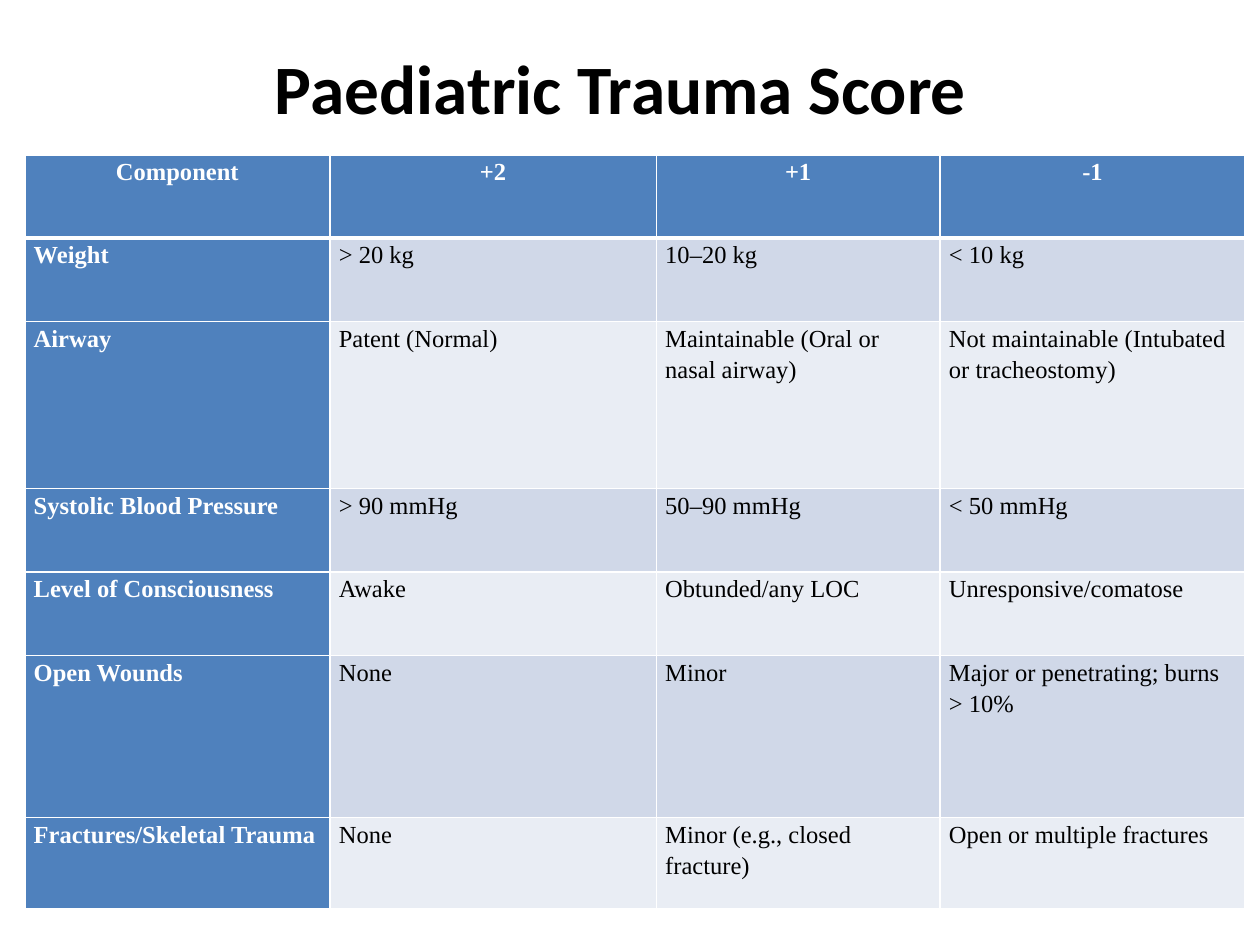
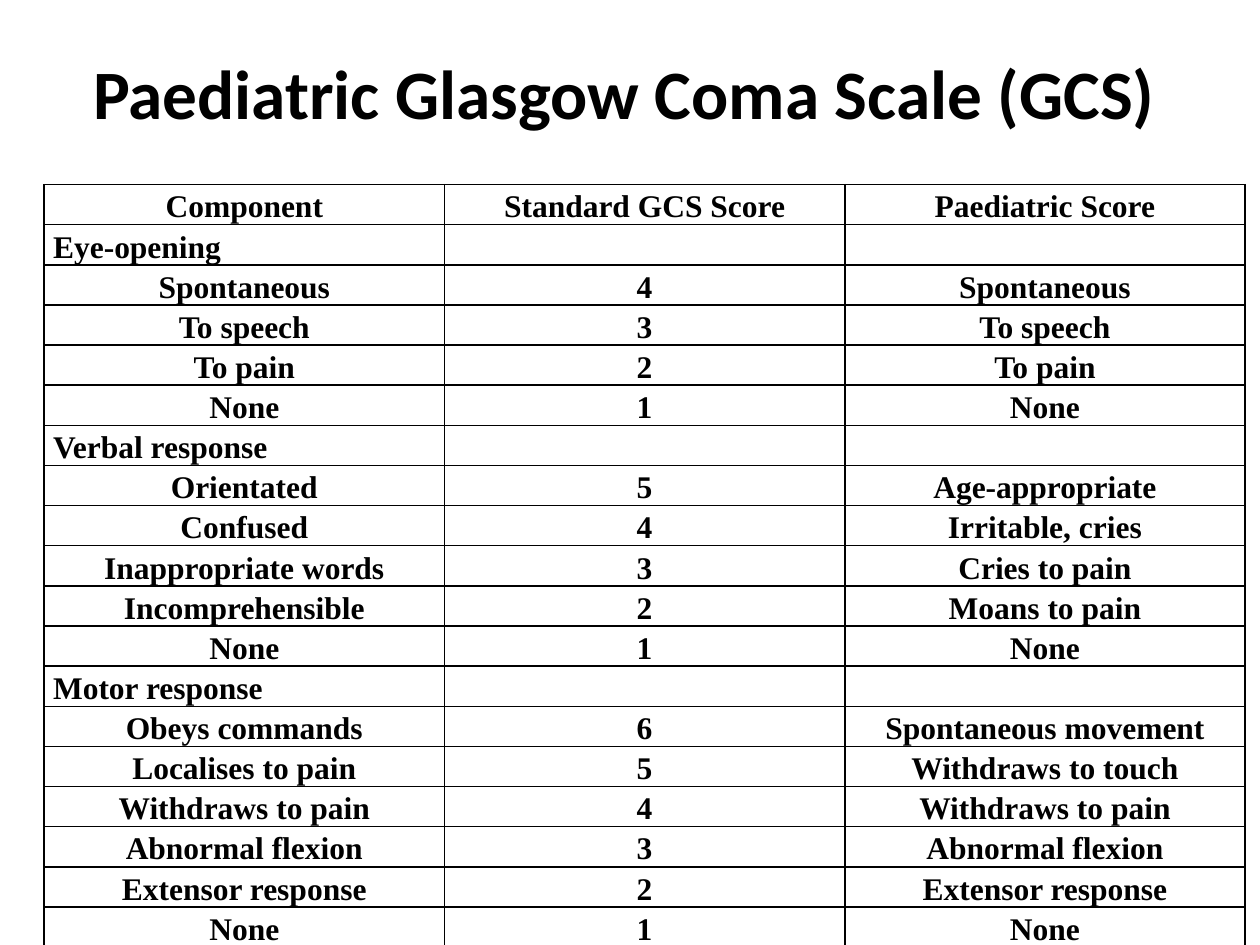
from dataclasses import dataclass

from lxml import etree
from pptx import Presentation
from pptx import util as u
from pptx.dml.color import RGBColor
from pptx.enum import text
from pptx.oxml.ns import qn


@dataclass(frozen=True)
class Theme:
    black: str = "000000"
    white: str = "FFFFFF"
    blue: str = "4F81BD"
    bands: tuple = ("D0D8E8", "E9EDF4")
    title_font: str = "Calibri"
    table_font: str = "Times New Roman"
    title_size: float = 39.6
    trauma_size: int = 14
    coma_size: int = 18
    line_spacing: float = 1.15
    cell_inset: float = 0.18
    rule: int = 1
    header_rule: int = 3


T = Theme()
CENTER, LEFT = text.PP_ALIGN.CENTER, text.PP_ALIGN.LEFT

TRAUMA_ROWS = [
    ("Component", "+2", "+1", "-1"),
    ("Weight", "> 20 kg", "10–20 kg", "< 10 kg"),
    ("Airway", "Patent (Normal)", "Maintainable (Oral or nasal airway)",
     "Not maintainable (Intubated or tracheostomy)"),
    ("Systolic Blood Pressure", "> 90 mmHg", "50–90 mmHg", "< 50 mmHg"),
    ("Level of Consciousness", "Awake", "Obtunded/any LOC", "Unresponsive/comatose"),
    ("Open Wounds", "None", "Minor", "Major or penetrating; burns > 10%"),
    ("Fractures/Skeletal Trauma", "None", "Minor (e.g., closed fracture)",
     "Open or multiple fractures"),
]
TRAUMA_WIDTHS = (6.15, 6.58, 5.72, 6.15)
TRAUMA_HEIGHTS = (1.68, 1.68, 3.37, 1.68, 1.68, 3.27, 1.83)

# Each section lists (standard response, paediatric response), best score first.
COMA_SECTIONS = {
    "Eye-opening": [
        ("Spontaneous", "Spontaneous"),
        ("To speech", "To speech"),
        ("To pain", "To pain"),
        ("None", "None"),
    ],
    "Verbal response": [
        ("Orientated", "Age-appropriate"),
        ("Confused", "Irritable, cries"),
        ("Inappropriate words", "Cries to pain"),
        ("Incomprehensible", "Moans to pain"),
        ("None", "None"),
    ],
    "Motor response": [
        ("Obeys commands", "Spontaneous movement"),
        ("Localises to pain", "Withdraws to touch"),
        ("Withdraws to pain", "Withdraws to pain"),
        ("Abnormal flexion", "Abnormal flexion"),
        ("Extensor response", "Extensor response"),
        ("None", "None"),
    ],
}
COMA_WIDTHS = (8.07,) * 3
COMA_ROW_HEIGHT = 0.76


def write_text(tf, content, font=T.table_font, size=T.coma_size, color=T.black,
               bold=True, align=CENTER, spacing=None):
    p = tf.paragraphs[0]
    p.alignment = align
    p.line_spacing = spacing
    if not content:
        return
    r = p.add_run()
    r.text = content
    r.font.name = font
    r.font.size = u.Pt(size)
    r.font.bold = bold
    r.font.color.rgb = RGBColor.from_string(color)


def add_titled_slide(prs, title, left, top, width, height):
    s = prs.slides.add_slide(prs.slide_layouts[5])
    sp = s.shapes.title
    sp.left, sp.top, sp.width, sp.height = map(u.Cm, (left, top, width, height))
    tf = sp.text_frame
    tf.word_wrap = True
    tf.auto_size = text.MSO_AUTO_SIZE.NONE
    tf.vertical_anchor = text.MSO_ANCHOR.MIDDLE
    write_text(tf, title, font=T.title_font, size=T.title_size)
    return s


def add_plain_table(s, left, top, widths, heights):
    """Add a table whose style options are off, so cells carry all formatting."""
    frame = s.shapes.add_table(len(heights), len(widths), u.Cm(left), u.Cm(top),
                               u.Cm(sum(widths)), u.Cm(sum(heights)))
    table = frame.table
    table.first_row = table.horz_banding = False
    for column, width in zip(table.columns, widths):
        column.width = u.Cm(width)
    for row, height in zip(table.rows, heights):
        row.height = u.Cm(height)
    return table


def set_borders(cell, color, top=T.rule, bottom=T.rule):
    tc_pr = cell._tc.get_or_add_tcPr()
    edges = {"a:lnL": T.rule, "a:lnR": T.rule, "a:lnT": top, "a:lnB": bottom}
    for i, (tag, width) in enumerate(edges.items()):
        ln = etree.Element(qn(tag), w=str(u.Pt(width)))
        fill = etree.SubElement(ln, qn("a:solidFill"))
        etree.SubElement(fill, qn("a:srgbClr"), val=color)
        tc_pr.insert(i, ln)


def fill_cell(cell, content, fill=None, border=T.black, top=T.rule,
              bottom=T.rule, **text_format):
    cell.margin_left = cell.margin_right = u.Cm(T.cell_inset)
    cell.margin_top = cell.margin_bottom = 0
    if fill:
        cell.fill.solid()
        cell.fill.fore_color.rgb = RGBColor.from_string(fill)
    else:
        cell.fill.background()
    set_borders(cell, border, top, bottom)
    write_text(cell.text_frame, content, spacing=T.line_spacing, **text_format)


def add_trauma_table(s):
    table = add_plain_table(s, 0.5, 3.12, TRAUMA_WIDTHS, TRAUMA_HEIGHTS)
    for i, row in enumerate(TRAUMA_ROWS):
        for j, content in enumerate(row):
            heading = i == 0 or j == 0
            fill_cell(table.cell(i, j), content,
                      fill=T.blue if heading else T.bands[(i - 1) % 2],
                      border=T.white,
                      top=T.header_rule if i == 1 else T.rule,
                      bottom=T.header_rule if i == 0 else T.rule,
                      size=T.trauma_size,
                      color=T.white if heading else T.black,
                      bold=heading,
                      align=CENTER if i == 0 else LEFT)


def coma_rows():
    """Return the header, then each section name followed by its scored rows."""
    rows = [("Component", "Standard GCS Score", "Paediatric Score")]
    for section, responses in COMA_SECTIONS.items():
        rows.append((section, "", ""))
        for i, (standard, paediatric) in enumerate(responses):
            rows.append((standard, str(len(responses) - i), paediatric))
    return rows


def add_coma_table(s):
    rows = coma_rows()
    table = add_plain_table(s, 0.89, 3.72, COMA_WIDTHS, [COMA_ROW_HEIGHT] * len(rows))
    for i, row in enumerate(rows):
        for j, content in enumerate(row):
            fill_cell(table.cell(i, j), content,
                      align=LEFT if content in COMA_SECTIONS else CENTER)


def main():
    prs = Presentation()
    prs.slide_width, prs.slide_height = u.Cm(25.4), u.Cm(19.05)
    add_trauma_table(add_titled_slide(
        prs, "Paediatric Trauma Score", 0.89, 0.76, 23.24, 1.96))
    add_coma_table(add_titled_slide(
        prs, "Paediatric Glasgow Coma Scale (GCS)", 1.27, 0.76, 22.63, 2.16))
    prs.save("out.pptx")


if __name__ == "__main__":
    main()
